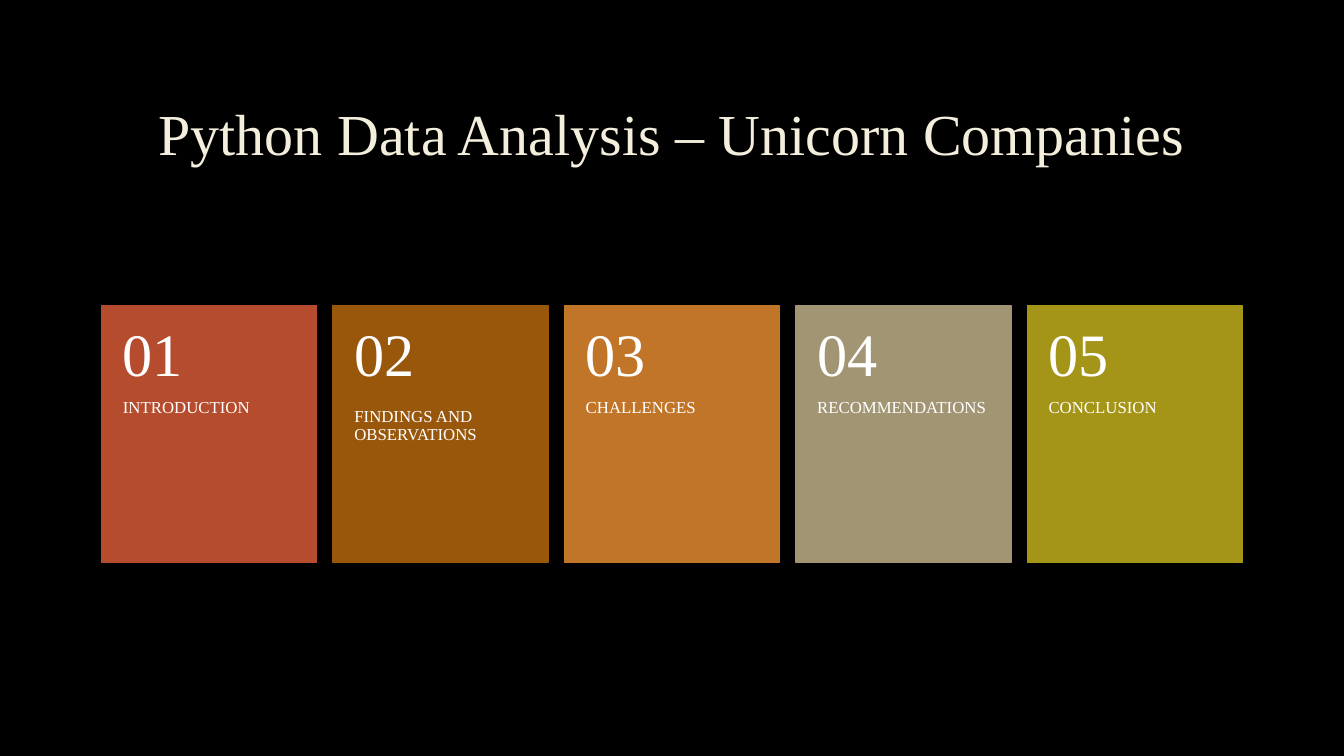
from pptx import Presentation
from pptx.dml.color import RGBColor
from pptx.enum.shapes import MSO_SHAPE as Shape
from pptx.enum.text import MSO_ANCHOR as Anchor, PP_ALIGN as Align
from pptx.util import Inches, Pt

SECTIONS = [
    ("INTRODUCTION", "B54C2D"),
    ("FINDINGS AND OBSERVATIONS", "99570C"),
    ("CHALLENGES", "C17529"),
    ("RECOMMENDATIONS", "A19574"),
    ("CONCLUSION", "A49518"),
]
LEFT, TOP, PITCH = 1.01, 3.03, 2.295
WIDTH, HEIGHT, NUMBER_HEIGHT = 2.13, 2.55, 1.02


def color(hex_code):
    return RGBColor.from_string(hex_code)


def write(frame, text, size, hex_code, anchor, align):
    frame.word_wrap = True
    frame.vertical_anchor = anchor
    paragraph = frame.paragraphs[0]
    paragraph.alignment = align
    paragraph.line_spacing = 0.9
    run = paragraph.add_run()
    run.text = text
    run.font.name = "Times New Roman"
    run.font.size = Pt(size)
    run.font.color.rgb = color(hex_code)


deck = Presentation()
deck.slide_width, deck.slide_height = Inches(13.33), Inches(7.5)
slide = deck.slides.add_slide(deck.slide_layouts[5])
slide.background.fill.solid()
slide.background.fill.fore_color.rgb = color("000000")

# Title
title = slide.shapes.title
title.left, title.top = Inches(1), Inches(0.67)
title.width, title.height = Inches(11.32), Inches(1.38)
write(title.text_frame, "Python Data Analysis – Unicorn Companies", 41.4,
      "F4EEDC", Anchor.MIDDLE, Align.CENTER)

# Numbered section cards
for index, (section, fill) in enumerate(SECTIONS):
    left = LEFT + index * PITCH
    card = slide.shapes.add_shape(Shape.RECTANGLE, Inches(left), Inches(TOP),
                                  Inches(WIDTH), Inches(HEIGHT))
    card.shadow.inherit = False
    card.fill.solid()
    card.fill.fore_color.rgb = color(fill)
    card.line.color.rgb = color(fill)
    card.line.width = Pt(1.25)

    # Section name below, number above: offset, height, insets, text
    for offset, height, inset_top, inset_bottom, text, size, anchor in (
        (NUMBER_HEIGHT, HEIGHT - NUMBER_HEIGHT, 0, 0.36, section, 12, Anchor.TOP),
        (0, NUMBER_HEIGHT, 0.18, 0.18, f"{index + 1:02}", 43, Anchor.MIDDLE),
    ):
        label = slide.shapes.add_textbox(Inches(left), Inches(TOP + offset),
                                         Inches(WIDTH), Inches(height))
        frame = label.text_frame
        frame.margin_left = frame.margin_right = Inches(0.21)
        frame.margin_top, frame.margin_bottom = Inches(inset_top), Inches(inset_bottom)
        write(frame, text, size, "FFFFFF", anchor, Align.LEFT)

deck.save("out.pptx")
